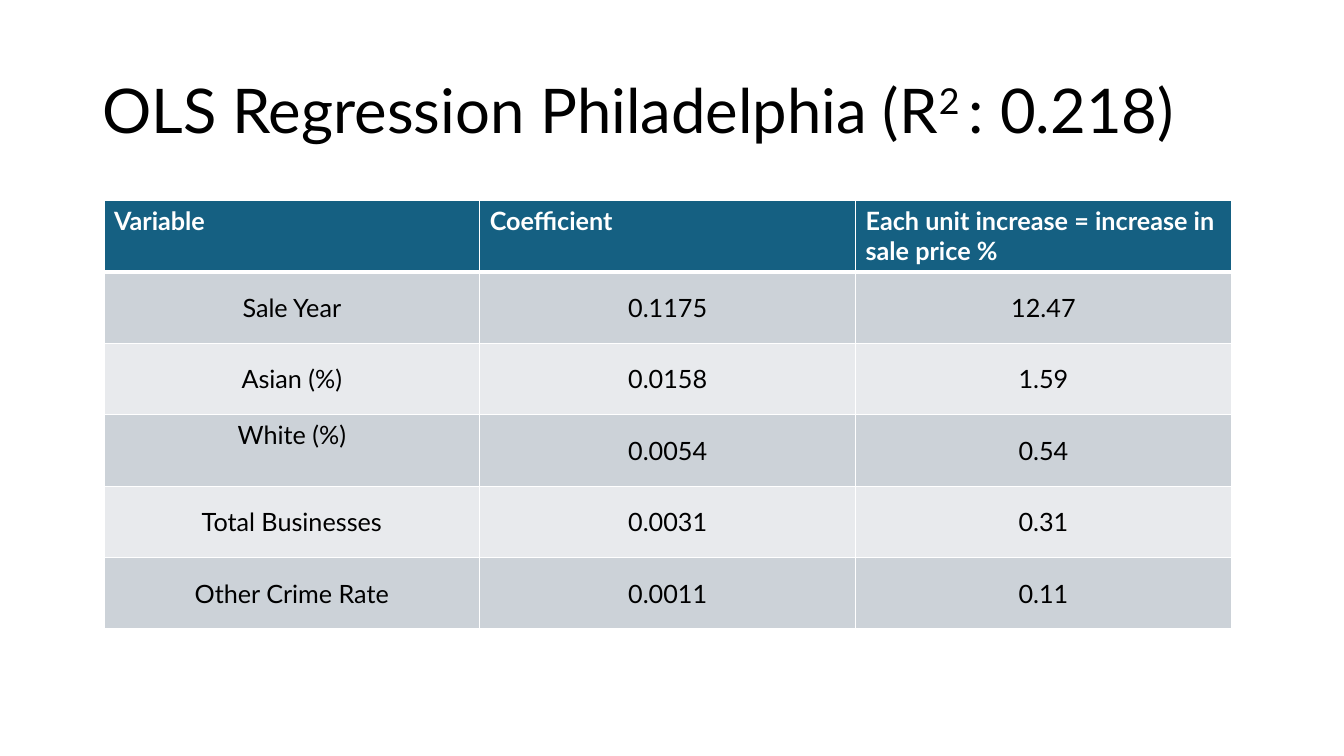
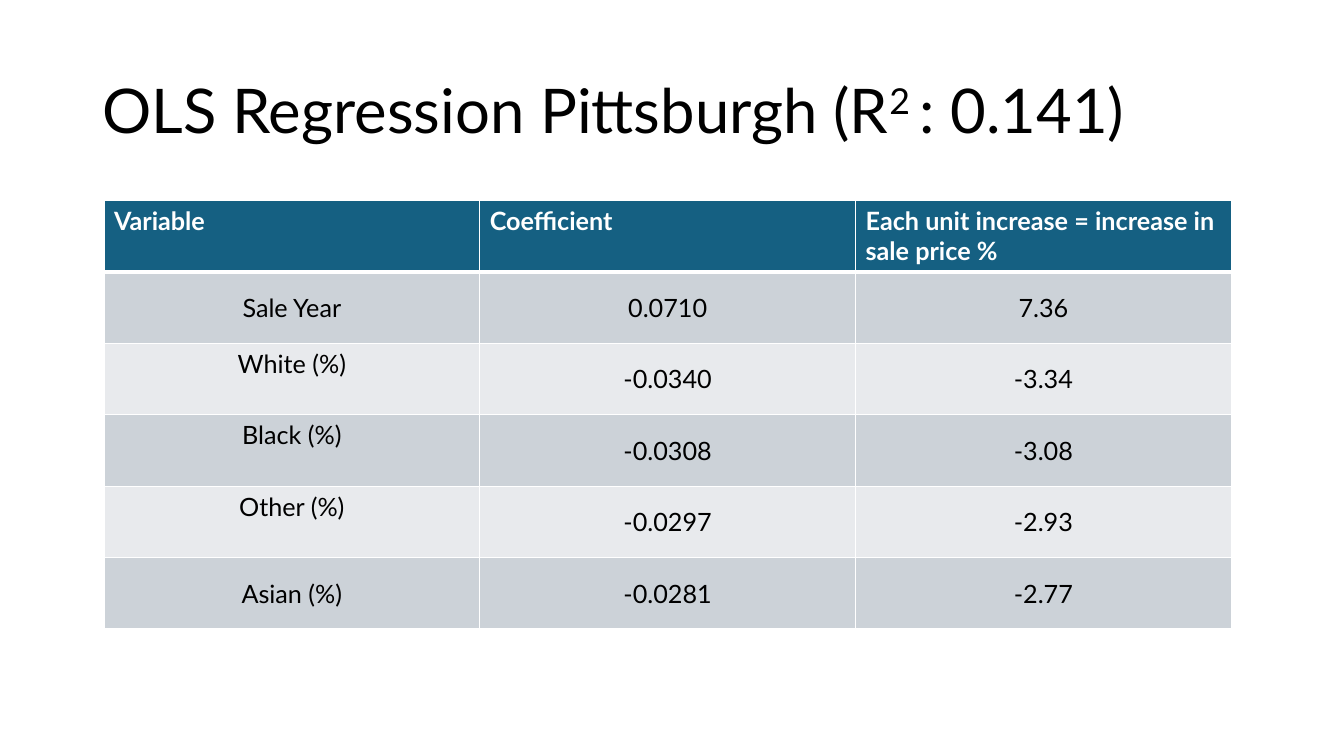
from lxml.etree import SubElement
from pptx import Presentation
from pptx.dml.color import RGBColor
from pptx.enum.text import MSO_ANCHOR as Anchor, PP_ALIGN as Align
from pptx.oxml.ns import qn
from pptx.util import Cm, Pt

BLACK = RGBColor(0x00, 0x00, 0x00)
WHITE = RGBColor(0xFF, 0xFF, 0xFF)
HEADER_BLUE = RGBColor(0x15, 0x60, 0x82)
BAND_DARK = RGBColor(0xCC, 0xD2, 0xD8)
BAND_LIGHT = RGBColor(0xE8, 0xEA, 0xED)

FONT = "Lato"
BLANK_LAYOUT = 6
COLUMN_WIDTH = Cm(9.47)
ROW_HEIGHT = Cm(1.8)
THIN, THICK = Pt(1), Pt(3)

HEADER = ("Variable", "Coefficient", "Each unit increase = increase in sale price %")

# City, R squared, table rows, and the variables set at the top of their cell
REGRESSIONS = [
    ("Philadelphia", "0.218", [
        ("Sale Year", "0.1175", "12.47"),
        ("Asian (%)", "0.0158", "1.59"),
        ("White (%)", "0.0054", "0.54"),
        ("Total Businesses", "0.0031", "0.31"),
        ("Other Crime Rate", "0.0011", "0.11"),
    ], {"White (%)"}),
    ("Pittsburgh", "0.141", [
        ("Sale Year", "0.0710", "7.36"),
        ("White (%)", "-0.0340", "-3.34"),
        ("Black (%)", "-0.0308", "-3.08"),
        ("Other (%)", "-0.0297", "-2.93"),
        ("Asian (%)", "-0.0281", "-2.77"),
    ], {"White (%)", "Black (%)", "Other (%)"}),
]


def style_font(font, size, color, bold=False):
    font.name = FONT
    font.size = Pt(size)
    font.bold = bold
    font.color.rgb = color


def add_title(page, city, r_squared):
    box = page.shapes.add_textbox(Cm(2.33), Cm(1.01), Cm(29.21), Cm(3.68))
    frame = box.text_frame
    frame.word_wrap = True
    frame.vertical_anchor = Anchor.MIDDLE
    para = frame.paragraphs[0]
    para.line_spacing = 0.9
    for text in (f"OLS Regression {city} (R", "2 ", f": {r_squared})"):
        span = para.add_run()
        span.text = text
        style_font(span.font, 44, BLACK)
    para.runs[1]._r.get_or_add_rPr().set("baseline", "30000")


def set_borders(cell, top, bottom):
    """Draw white cell borders; call before filling, as the schema orders them."""
    properties = cell._tc.get_or_add_tcPr()
    for tag, width in (("lnL", THIN), ("lnR", THIN), ("lnT", top), ("lnB", bottom)):
        line = SubElement(properties, qn(f"a:{tag}"), w=str(width))
        fill = SubElement(line, qn("a:solidFill"))
        SubElement(fill, qn("a:srgbClr"), val=str(WHITE))


def fill_cell(cell, text, fill, color, bold=False, align=Align.LEFT, anchor=Anchor.TOP):
    cell.fill.solid()
    cell.fill.fore_color.rgb = fill
    cell.vertical_anchor = anchor
    cell.text_frame.text = text
    para = cell.text_frame.paragraphs[0]
    para.alignment = align
    style_font(para.runs[0].font, 18, color, bold)


def add_regression_table(page, rows, top_variables):
    row_count, column_count = len(rows) + 1, len(HEADER)
    table = page.shapes.add_table(
        row_count, column_count, Cm(2.62), Cm(5.05),
        COLUMN_WIDTH * column_count, ROW_HEIGHT * row_count).table
    for row_index, values in enumerate([HEADER, *rows]):
        band = BAND_DARK if row_index % 2 else BAND_LIGHT
        for column_index, text in enumerate(values):
            cell = table.cell(row_index, column_index)
            set_borders(cell, THICK if row_index == 1 else THIN,
                        THICK if row_index == 0 else THIN)
            if row_index == 0:
                fill_cell(cell, text, HEADER_BLUE, WHITE, bold=True)
            else:
                anchor = Anchor.TOP if text in top_variables else Anchor.MIDDLE
                fill_cell(cell, text, band, BLACK, align=Align.CENTER, anchor=anchor)


def main():
    deck = Presentation()
    deck.slide_width, deck.slide_height = Cm(33.87), Cm(19.05)
    for city, r_squared, rows, top_variables in REGRESSIONS:
        page = deck.slides.add_slide(deck.slide_layouts[BLANK_LAYOUT])
        add_title(page, city, r_squared)
        add_regression_table(page, rows, top_variables)
    deck.save("out.pptx")


if __name__ == "__main__":
    main()
